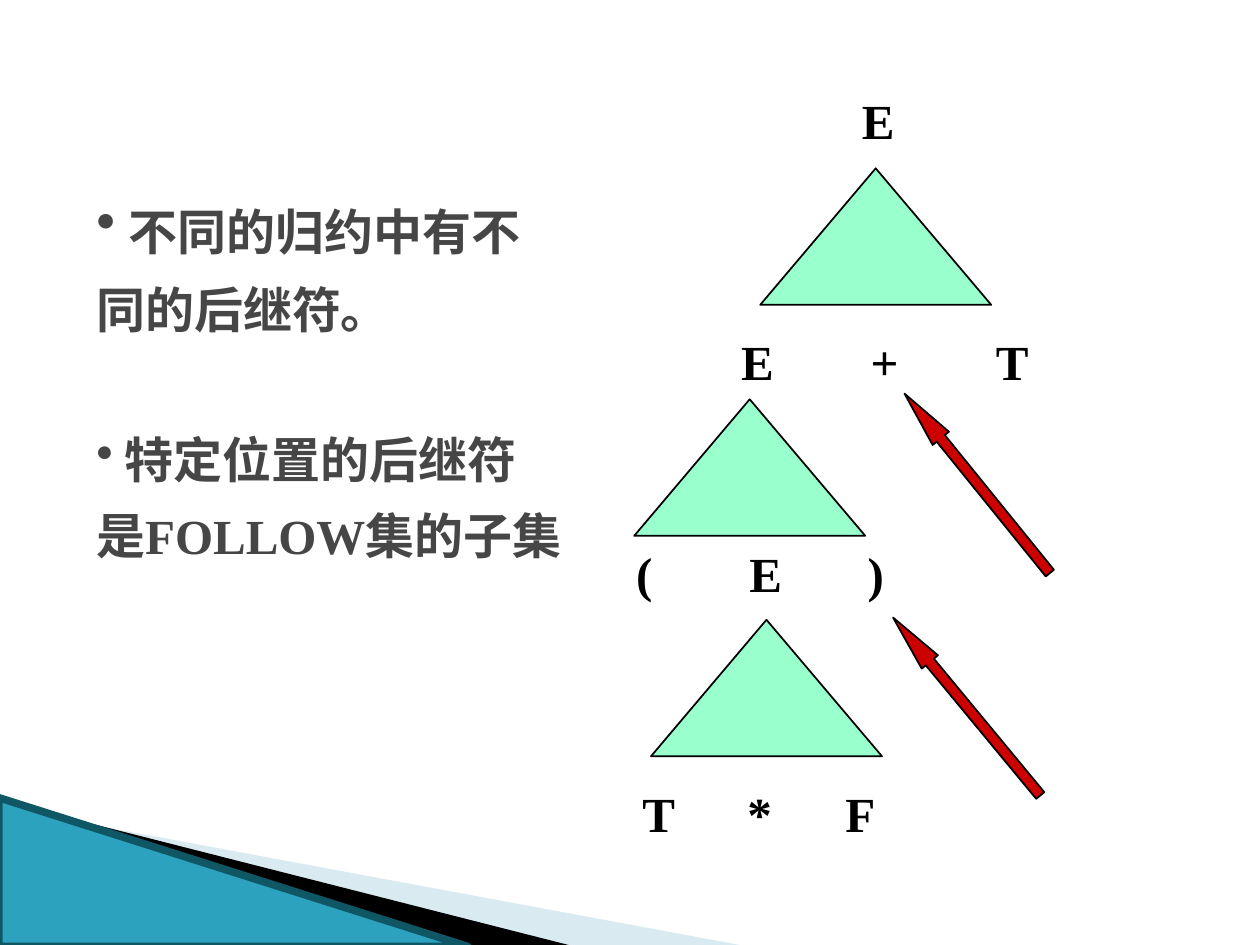
from lxml.etree import SubElement
from pptx import Presentation
from pptx.dml.color import RGBColor
from pptx.enum.shapes import MSO_CONNECTOR, MSO_SHAPE
from pptx.enum.text import MSO_AUTO_SIZE, PP_ALIGN
from pptx.oxml.ns import qn
from pptx.util import Pt

BLACK = RGBColor(0x00, 0x00, 0x00)
GRAY = RGBColor(0x46, 0x46, 0x46)
MINT = RGBColor(0x99, 0xFF, 0xCC)
RED = RGBColor(0xCC, 0x00, 0x00)
TEAL = RGBColor(0x2D, 0xA2, 0xBF)
DARK_TEAL = RGBColor(0x10, 0x57, 0x66)
PALE_BLUE = RGBColor(0xA0, 0xCB, 0xDC)
EDGE_BLUE = RGBColor(0x97, 0xC5, 0xD8)
FONT = "Times New Roman"


def paint(shape, fill, line=None, width=1):
    shape.shadow.inherit = False
    shape.fill.solid()
    shape.fill.fore_color.rgb = fill
    if line is None:
        shape.line.fill.background()
    else:
        shape.line.color.rgb = line
        shape.line.width = Pt(width)


def add_preset(slide, kind, box, fill, line, width=1):
    shape = slide.shapes.add_shape(kind, *map(Pt, box))
    paint(shape, fill, line, width)
    return shape


def add_polygon(slide, points, fill):
    builder = slide.shapes.build_freeform(*points[0], scale=Pt(1))
    builder.add_line_segments(points[1:])
    shape = builder.convert_to_shape()
    paint(shape, fill)
    return shape


def add_run(paragraph, text, size, color):
    run = paragraph.add_run()
    run.text = text
    run.font.name = FONT
    run.font.size = Pt(size)
    run.font.bold = True
    run.font.color.rgb = color


def add_text_frame(slide, box):
    frame = slide.shapes.add_textbox(*map(Pt, box)).text_frame
    frame.word_wrap = True
    frame.auto_size = MSO_AUTO_SIZE.SHAPE_TO_FIT_TEXT
    return frame


def add_corner(slide, box):
    left, top, width, height = box
    right, bottom = left + width, top + height
    pale = add_polygon(slide, [(39.6, 468.7), (428.4, bottom), (328.3, bottom)], PALE_BLUE)
    color = pale.fill._xPr.find(qn("a:solidFill"))[0]
    SubElement(color, qn("a:alpha"), val="40000")
    add_polygon(slide, [(38.2, 467.3), (329, bottom), (right, bottom)], BLACK)
    edge = slide.shapes.add_connector(
        MSO_CONNECTOR.STRAIGHT, Pt(left), Pt(top), Pt(right), Pt(bottom))
    edge.line.color.rgb = EDGE_BLUE
    edge.line.width = Pt(0.95)
    SubElement(edge._element.spPr, qn("a:effectLst"))
    add_preset(slide, MSO_SHAPE.RIGHT_TRIANGLE, box, TEAL, DARK_TEAL, 4.33)


def add_symbols(slide, box, symbols, stops=()):
    frame = add_text_frame(slide, box)
    frame.margin_right = 0
    paragraph = frame.paragraphs[0]
    properties = paragraph._p.get_or_add_pPr()
    if stops:
        tabs = SubElement(properties, qn("a:tabLst"))
        for stop in stops:
            SubElement(tabs, qn("a:tab"), pos=str(Pt(stop)), algn="ctr")
    add_run(paragraph, "\t".join(symbols), 28, BLACK)


def add_arrow(slide, box, rotation):
    arrow = add_preset(slide, MSO_SHAPE.UP_ARROW, box, RED, BLACK)
    arrow.adjustments[0] = 0.5
    arrow.adjustments[1] = 2.75
    arrow.rotation = rotation


def add_tree(slide, box):
    left, top = box[:2]
    rows = [
        (129, 0, 33, "E", ()),
        (60, 137.5, 180, "E+T", (82, 155)),
        (0, 259, 157, "(E)", (74, 137)),
        (3.6, 396, 156, "T*F", (67, 124.5)),
    ]
    for x, y, width, symbols, stops in rows:
        add_symbols(slide, (left + x, top + y, width, 41), symbols, stops)
    for x, y in [(78, 48), (6, 180), (15.6, 306)]:
        add_preset(slide, MSO_SHAPE.ISOSCELES_TRIANGLE,
                   (left + x, top + y, 132, 78), MINT, BLACK)
    for x, y, rotation in [(196, 162, 321), (190, 289.5, 320.4)]:
        add_arrow(slide, (left + x, top + y, 12, 132), rotation)


def add_notes_on_followers(slide, box):
    frame = add_text_frame(slide, box)
    points = [
        [(" ", 32), ("不同的归约中有不同的后继符。", 28)],
        [(" 特定位置的后继符是FOLLOW集的子集", 28)],
    ]
    for index, runs in enumerate(points):
        paragraph = frame.add_paragraph() if index else frame.paragraphs[0]
        paragraph.alignment = PP_ALIGN.LEFT
        paragraph.line_spacing = 1.3
        if index:
            paragraph.space_before = Pt(42)
        SubElement(paragraph._p.get_or_add_pPr(), qn("a:buChar"), char="•")
        for text, size in runs:
            add_run(paragraph, text, size, GRAY)


def main():
    presentation = Presentation()
    presentation.slide_width = Pt(720)
    presentation.slide_height = Pt(540)
    slide = presentation.slides.add_slide(presentation.slide_layouts[6])
    add_corner(slide, (-0.7, 455.8, 268, 85))
    add_tree(slide, (356.4, 48.2, 245, 437))
    add_notes_on_followers(slide, (48, 96, 282, 232))
    presentation.save("out.pptx")


if __name__ == "__main__":
    main()
